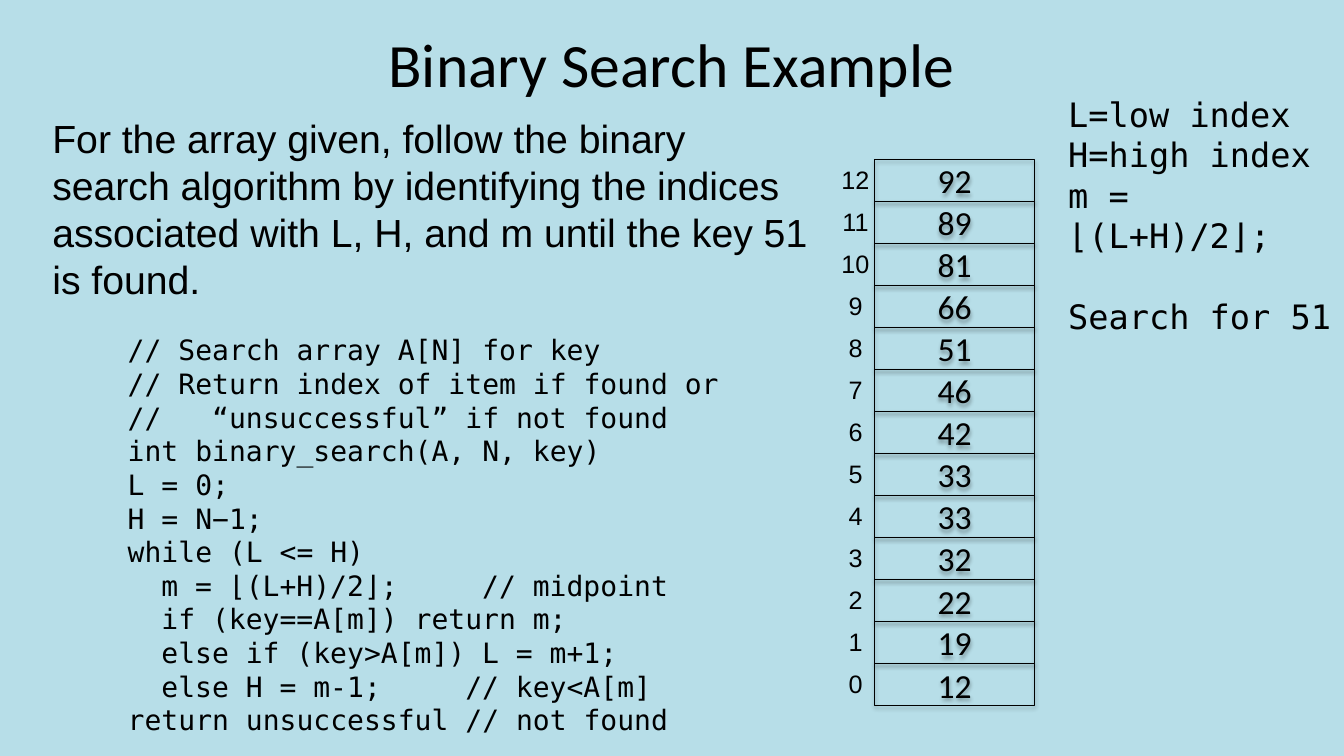
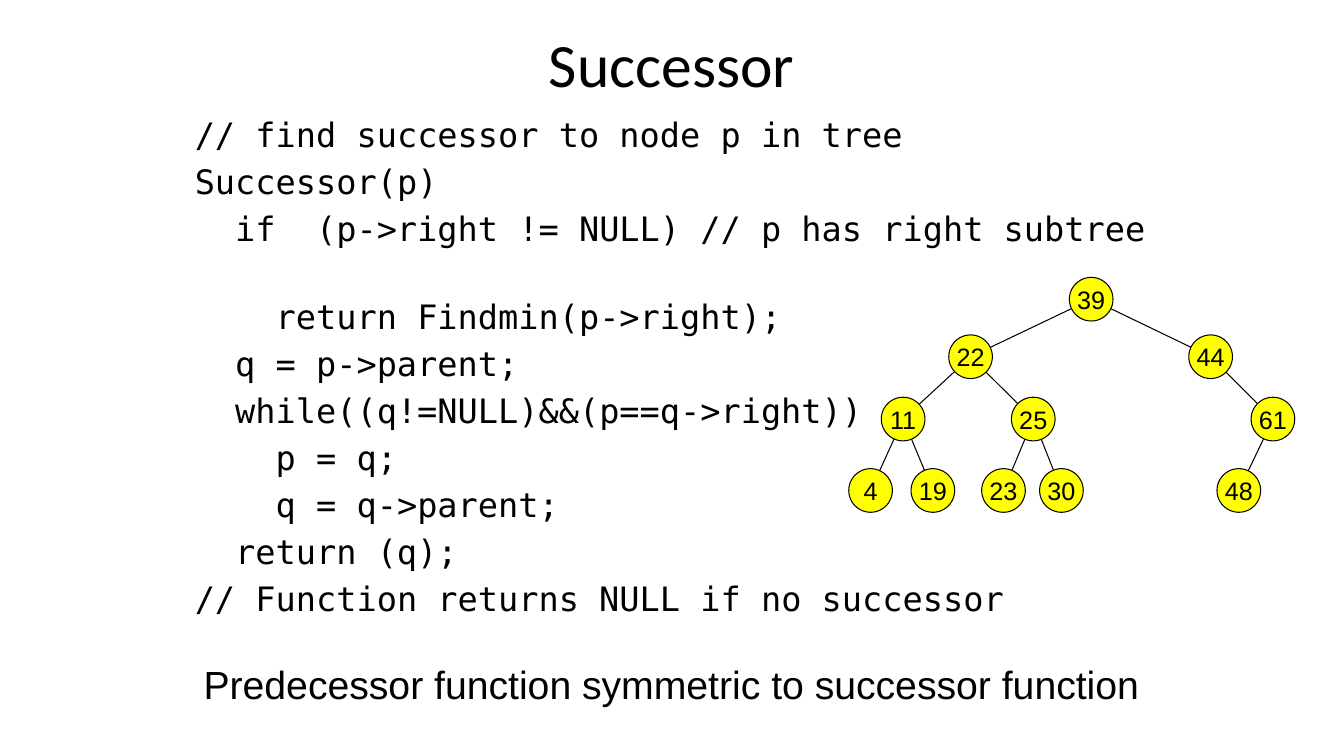
from dataclasses import dataclass

from lxml.etree import SubElement
from pptx import Presentation
from pptx.dml.color import RGBColor
from pptx.enum.shapes import MSO_CONNECTOR as Connector, MSO_SHAPE as Preset
from pptx.enum.text import MSO_ANCHOR as Anchor, PP_ALIGN as Align
from pptx.oxml.ns import qn
from pptx.util import Cm, Pt


@dataclass(frozen=True)
class Theme:
    ink: str = "000000"
    pale_blue: str = "B7DEE8"
    white: str = "FFFFFF"
    node: str = "FFFF00"
    heading_font: str = "Calibri"
    body_font: str = "Arial"
    code_font: str = "DejaVu Sans Mono"
    title: int = 44
    body: int = 28
    large_code: int = 24
    code: int = 20
    value: int = 24
    label: int = 18
    line: float = 0.75
    leading: float = 1.2
    code_advance: float = 0.602


THEME = Theme()

TITLE_BOX = (5.5, 0, 22.86, 3.18)
INSET = (0.25, 0.13)

SEARCH_TASK = (
    "For the array given, follow the binary search algorithm by identifying "
    "the indices associated with L, H, and m until the key 51 is found."
)
ARRAY_VALUES = [12, 19, 22, 32, 33, 33, 42, 46, 51, 66, 81, 89, 92]
LEGEND = ["L=low index", "H=high index", "m = ⌊(L+H)/2⌋;", "Search for 51"]
SEARCH_CODE = [
    (0, "// Search array A[N] for key"),
    (0, "// Return index of item if found or"),
    (0, "//   “unsuccessful” if not found"),
    (0, "int binary_search(A, N, key)"),
    (0, "L = 0;"),
    (0, "H = N−1;"),
    (0, "while (L <= H)"),
    (2, "m = ⌊(L+H)/2⌋;     // midpoint"),
    (2, "if (key==A[m]) return m;"),
    (2, "else if (key>A[m]) L = m+1;"),
    (2, "else H = m-1;     // key<A[m]"),
    (0, "return unsuccessful // not found"),
]
SUCCESSOR_CODE = [
    (0, "// find successor to node p in tree"),
    (0, "Successor(p)"),
    (2, "if  (p->right != NULL) // p has right subtree"),
    (4, "return Findmin(p->right);"),
    (2, "q = p->parent;"),
    (2, "while((q!=NULL)&&(p==q->right))"),
    (4, "p = q;"),
    (4, "q = q->parent;"),
    (2, "return (q);"),
    (0, "// Function returns NULL if no successor"),
]
TREE_LEVELS = [0.55, 2, 3.57, 5.37]
TREE_NODES = {
    39: (6.11, 0, None),
    22: (3.07, 1, 39),
    44: (9.12, 1, 39),
    11: (1.37, 2, 22),
    25: (4.65, 2, 22),
    61: (10.69, 2, 44),
    4: (0.55, 3, 11),
    19: (2.12, 3, 11),
    23: (3.9, 3, 25),
    30: (5.36, 3, 25),
    48: (9.83, 3, 61),
}


def color(value):
    return RGBColor.from_string(value)


def lengths(box):
    return [Cm(value) for value in box]


def write(shape, lines, *, font, size, align=Align.LEFT, anchor=Anchor.TOP,
          inset=INSET, wrap=True, leading=None, before=None, indents=None):
    frame = shape.text_frame
    frame.word_wrap = wrap
    frame.vertical_anchor = anchor
    frame.margin_left = frame.margin_right = Cm(inset[0])
    frame.margin_top = frame.margin_bottom = Cm(inset[1])
    for number, line in enumerate(lines):
        paragraph = frame.paragraphs[0] if number == 0 else frame.add_paragraph()
        paragraph.alignment = align
        paragraph.space_before = Pt((before or {}).get(number, 0))
        if leading:
            paragraph.line_spacing = Pt(leading)
        if indents and indents[number]:
            properties = paragraph._p.get_or_add_pPr()
            properties.set("marL", str(Pt(indents[number])))
            properties.set("indent", "0")
        run = paragraph.add_run()
        run.text = line
        run.font.name = font
        run.font.size = Pt(size)
        run.font.color.rgb = color(THEME.ink)


def add_text(slide, box, lines, **style):
    shape = slide.shapes.add_textbox(*lengths(box))
    write(shape, lines, **style)


def add_outlined(slide, preset, box, fill=None):
    shape = slide.shapes.add_shape(preset, *lengths(box))
    shape.shadow.inherit = False
    if fill:
        shape.fill.solid()
        shape.fill.fore_color.rgb = color(fill)
    else:
        shape.fill.background()
    shape.line.color.rgb = color(THEME.ink)
    shape.line.width = Pt(THEME.line)
    return shape


def add_soft_shadow(shape):
    effects = shape._element.spPr.find(qn("a:effectLst"))
    shadow = SubElement(effects, qn("a:outerShdw"), blurRad=str(Pt(3.1)),
                        dist=str(Pt(1.8)), dir="5400000", rotWithShape="0")
    tint = SubElement(shadow, qn("a:srgbClr"), val=THEME.ink)
    SubElement(tint, qn("a:alpha"), val="35000")


def add_edge(slide, start, end):
    edge = slide.shapes.add_connector(Connector.STRAIGHT, *lengths(start + end))
    edge.line.color.rgb = color(THEME.ink)
    edge.line.width = Pt(THEME.line)
    SubElement(edge._element.spPr, qn("a:effectLst"))


def add_titled_slide(presentation, title, background):
    slide = presentation.slides.add_slide(presentation.slide_layouts[6])
    slide.background.fill.solid()
    slide.background.fill.fore_color.rgb = color(background)
    add_text(slide, TITLE_BOX, [title], font=THEME.heading_font,
             size=THEME.title, align=Align.CENTER, anchor=Anchor.MIDDLE)
    return slide


def add_prose(slide, box, text):
    add_text(slide, box, [text], font=THEME.body_font, size=THEME.body,
             leading=THEME.body * THEME.leading)


def add_code(slide, box, code, size, before=None):
    add_text(slide, box, [text for _, text in code], font=THEME.code_font,
             size=size, leading=size * THEME.leading, before=before,
             indents=[columns * size * THEME.code_advance for columns, _ in code])


def add_array(slide, box, values, index_width):
    left, top, width, height = box
    row = height / len(values)
    for index, value in enumerate(values):
        y = top + height - (index + 1) * row
        cell = add_outlined(slide, Preset.RECTANGLE,
                            (left + index_width, y, width - index_width, row))
        add_soft_shadow(cell)
        write(cell, [str(value)], font=THEME.heading_font, size=THEME.value,
              align=Align.CENTER, anchor=Anchor.MIDDLE)
        add_text(slide, (left, y, index_width, row), [str(index)],
                 font=THEME.body_font, size=THEME.label, align=Align.CENTER,
                 inset=(0, INSET[1]), leading=THEME.label * THEME.leading)


def add_tree(slide, origin, nodes, levels, diameter):
    left, top = origin
    centers = {key: (left + x, top + levels[level])
               for key, (x, level, _) in nodes.items()}
    for key, (_, _, parent) in nodes.items():
        if parent is not None:
            add_edge(slide, centers[parent], centers[key])
    for key, (x, y) in centers.items():
        node = add_outlined(slide, Preset.OVAL,
                            (x - diameter / 2, y - diameter / 2, diameter, diameter),
                            fill=THEME.node)
        write(node, [str(key)], font=THEME.body_font, size=THEME.label,
              align=Align.CENTER, anchor=Anchor.MIDDLE, inset=(0, 0), wrap=False)


def build_search_slide(presentation):
    slide = add_titled_slide(presentation, "Binary Search Example", THEME.pale_blue)
    add_array(slide, (21.07, 4.02, 5, 13.76), ARRAY_VALUES, index_width=0.98)
    blank_line = THEME.large_code * THEME.leading
    add_code(slide, (26.67, 2.24, 7.26, 5.38), [(0, line) for line in LEGEND],
             THEME.large_code, before={len(LEGEND) - 1: blank_line})
    add_prose(slide, (1.07, 2.75, 19.67, 5.05), SEARCH_TASK)
    add_code(slide, (2.97, 8.26, 18, 10.8), SEARCH_CODE, THEME.code)


def build_successor_slide(presentation):
    slide = add_titled_slide(presentation, "Successor", THEME.white)
    gap = THEME.large_code * 0.2
    before = {number: gap for number in range(1, len(SUCCESSOR_CODE))}
    before[3] += THEME.large_code * THEME.leading
    add_code(slide, (4.66, 2.75, 25.4, 13.77), SUCCESSOR_CODE,
             THEME.large_code, before=before)
    add_prose(slide, (4.88, 16.51, 24.6, 1.45),
              "Predecessor function symmetric to successor function")
    add_tree(slide, (21.39, 6.99), TREE_NODES, TREE_LEVELS, diameter=1.1)


def main():
    presentation = Presentation()
    presentation.slide_width = Cm(33.87)
    presentation.slide_height = Cm(19.05)
    build_search_slide(presentation)
    build_successor_slide(presentation)
    presentation.save("out.pptx")


if __name__ == "__main__":
    main()
